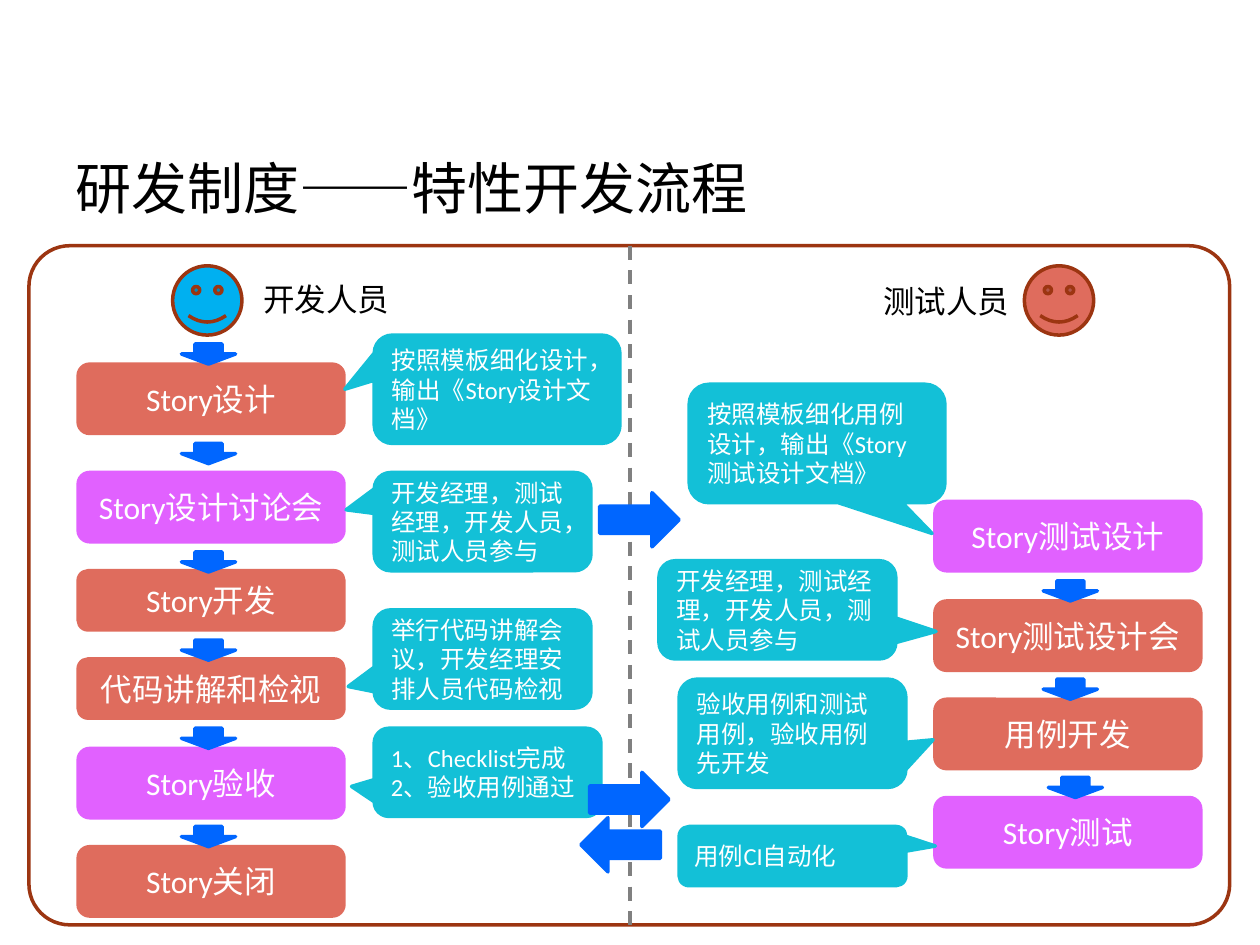
from dataclasses import dataclass
from typing import Any

from lxml import etree
from pptx import Presentation
from pptx.dml.color import RGBColor
from pptx.enum import dml, shapes, text
from pptx.oxml import ns
from pptx.util import Inches, Pt

SHAPE = shapes.MSO_SHAPE
ALIGN = text.PP_ALIGN
ANCHOR = text.MSO_ANCHOR

CORAL, VIOLET, TEAL, BLUE, SKY = "DF6C5D", "E161FF", "13C0D7", "0066FF", "00B0F0"
RUST, GREY, BLACK, WHITE = "9C3511", "808080", "000000", "FFFFFF"

# Top, height, colour, label
DEV_STEPS = [
    (2.89, 0.55, CORAL, "Story设计"),
    (3.75, 0.55, VIOLET, "Story设计讨论会"),
    (4.53, 0.47, CORAL, "Story开发"),
    (5.23, 0.47, CORAL, "代码讲解和检视"),
    (5.94, 0.55, VIOLET, "Story验收"),
    (6.72, 0.55, CORAL, "Story关闭"),
]
TEST_STEPS = [
    (3.98, 0.55, VIOLET, "Story测试设计"),
    (4.77, 0.55, CORAL, "Story测试设计会"),
    (5.55, 0.55, CORAL, "用例开发"),
    (6.33, 0.55, VIOLET, "Story测试"),
]
# Left, top; the last arrow of the test side sits slightly to the right
DOWN_ARROWS = [(1.44, top) for top in (2.73, 3.52, 4.38, 5.08, 5.78, 6.56)]
DOWN_ARROWS += [(8.28, 4.61), (8.28, 5.39), (8.32, 6.17)]
# Left, top, rotation
HANDOVER_ARROWS = [(4.86, 3.81, 270), (4.71, 6.39, 90), (4.78, 6.03, 270)]

MEETING = "开发经理，测试经理，开发人员，测试人员参与"
# Place, pointer tip relative to the centre, lines
CALLOUTS = [
    ((2.97, 2.66, 1.95, 0.86), (-0.62, 0), ["按照模板细化设计，输出《Story设计文档》"]),
    ((2.97, 3.75, 1.72, 0.78), (-0.63, -0.12), [MEETING]),
    ((2.97, 4.84, 1.72, 0.78), (-0.62, 0.28), ["举行代码讲解会议，开发经理安排人员代码检视"]),
    ((2.97, 5.78, 1.8, 0.7), (-0.6, 0.16), ["1、Checklist完成", "2、验收用例通过"]),
    ((5.47, 3.05, 2.03, 0.94), (0.45, 0.76),
     ["按照模板细化用例设计，输出《Story测试设计文档》"]),
    ((5.23, 4.45, 1.88, 0.78), (0.67, 0.22), [MEETING]),
    ((5.39, 5.39, 1.8, 0.86), (0.62, 0.06), ["验收用例和测试用例，验收用例先开发"]),
    ((5.39, 6.56, 1.8, 0.47), (0.63, -0.17), ["用例CI自动化"]),
]


def colour(value):
    return RGBColor.from_string(value)


def apply(target, values):
    for name, value in values.items():
        setattr(target, name, value)


@dataclass
class Painter:
    page: Any
    font: str = "Calibri"
    line_width: float = 2

    def fill_text(self, box, lines, size, ink, align=ALIGN.LEFT, font=None, **frame_values):
        frame = box.text_frame
        apply(frame, {"word_wrap": True, "vertical_anchor": ANCHOR.MIDDLE, **frame_values})
        for index, line in enumerate(lines):
            para = frame.add_paragraph() if index else frame.paragraphs[0]
            para.alignment = align
            span = para.add_run()
            span.text = line
            apply(span.font, {"name": font or self.font, "size": Pt(size)})
            span.font.color.rgb = colour(ink)

    def label(self, place, line, size, **values):
        box = self.page.shapes.add_textbox(*map(Inches, place))
        self.fill_text(box, [line], size, BLACK, **values)

    def shape(self, kind, place, fill, line=None, adjust=(), rotation=0):
        box = self.page.shapes.add_shape(kind, *map(Inches, place))
        box.shadow.inherit = False
        box.rotation = rotation
        for index, value in enumerate(adjust):
            box.adjustments[index] = value
        if fill:
            box.fill.solid()
            box.fill.fore_color.rgb = colour(fill)
        else:
            box.fill.background()
        box.line.color.rgb = colour(line or fill)
        box.line.width = Pt(self.line_width)
        return box

    def steps(self, left, rows):
        for top, height, fill, name in rows:
            box = self.shape(SHAPE.ROUNDED_RECTANGLE, (left, top, 2.11, height), fill)
            self.fill_text(box, [name], 18, WHITE, ALIGN.CENTER)

    def callout(self, place, tip, lines):
        box = self.shape(SHAPE.ROUNDED_RECTANGULAR_CALLOUT, place, TEAL, adjust=tip)
        self.fill_text(box, lines, 14, WHITE)

    def arrow(self, left, top, height, rotation=0):
        self.shape(SHAPE.DOWN_ARROW, (left, top, 0.43, height), BLUE, rotation=rotation)

    def role(self, name, face_left, fill, label_left, label_top):
        self.shape(SHAPE.SMILEY_FACE, (face_left, 2.11, 0.55, 0.55), fill, RUST)
        self.label((label_left, label_top, 1.21, 0.4), name, 18,
                   word_wrap=False, vertical_anchor=ANCHOR.TOP)

    def divider(self, x, top, bottom):
        line = self.page.shapes.add_connector(
            shapes.MSO_CONNECTOR.STRAIGHT, *map(Inches, (x, top, x, bottom)))
        line.line.color.rgb = colour(GREY)
        apply(line.line, {"width": Pt(self.line_width), "dash_style": dml.MSO_LINE.DASH})
        etree.SubElement(line._element.spPr, ns.qn("a:effectLst"))


def main():
    deck = Presentation()
    apply(deck, {"slide_width": Inches(10), "slide_height": Inches(7.5)})
    painter = Painter(deck.slides.add_slide(deck.slide_layouts[6]))

    painter.label((0.5, 0.86, 9, 1.25), "研发制度——特性开发流程", 32, font="Roboto")
    painter.shape(SHAPE.ROUNDED_RECTANGLE, (0.23, 1.95, 9.53, 5.39), None, RUST, [0.06])
    painter.divider(5, 1.95, 7.34)
    painter.role("开发人员", 1.37, SKY, 1.99, 2.17)
    painter.role("测试人员", 8.13, CORAL, 6.91, 2.19)
    painter.steps(0.62, DEV_STEPS)
    painter.steps(7.42, TEST_STEPS)
    for callout in CALLOUTS:
        painter.callout(*callout)
    for left, top in DOWN_ARROWS:
        painter.arrow(left, top, 0.16)
    for left, top, rotation in HANDOVER_ARROWS:
        painter.arrow(left, top, 0.63, rotation)

    deck.save("out.pptx")


if __name__ == "__main__":
    main()
